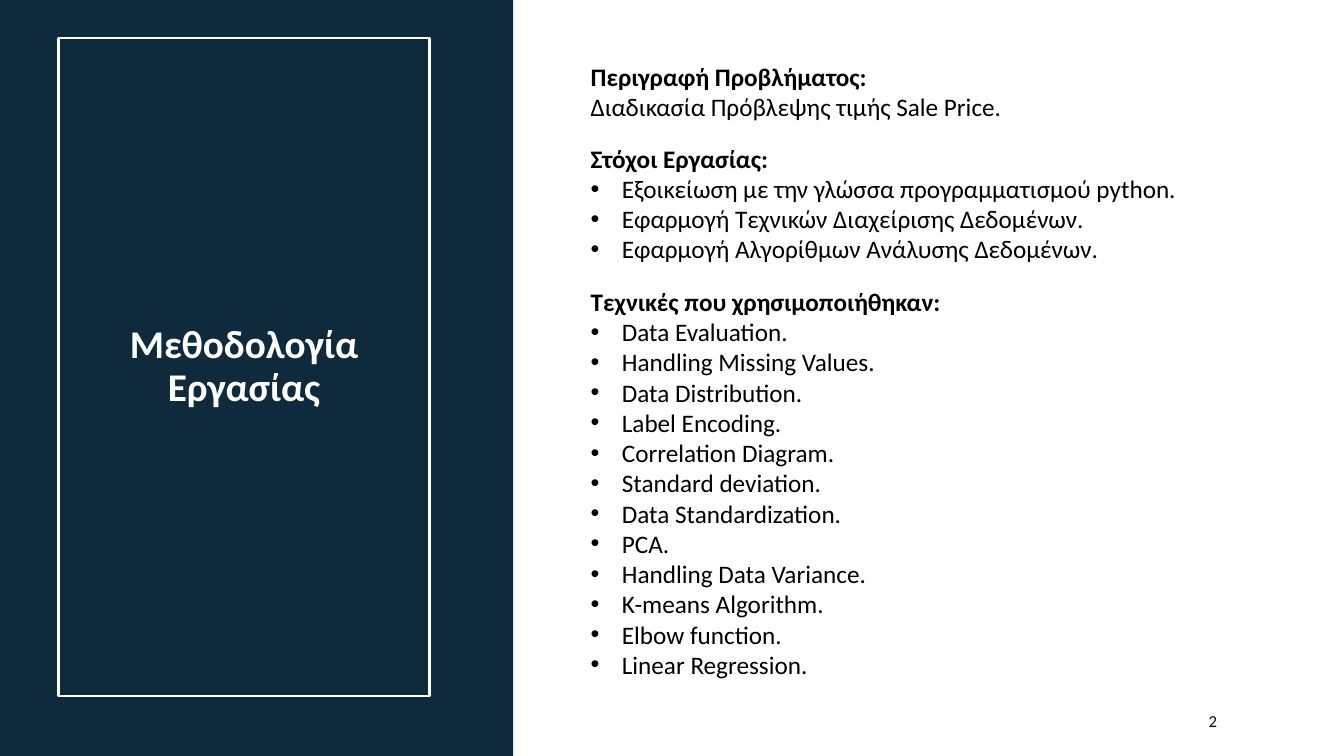
from lxml import etree
from pptx import Presentation
from pptx.dml.color import RGBColor
from pptx.enum import shapes, text
from pptx.oxml.ns import qn
from pptx.util import Inches, Pt

TITLE = ["Μεθοδολογία", "Εργασίας"]
PAGE_NUMBER = "2"
# (top, height, heading, bulleted, lines)
SECTIONS = [
    (0.56, 1.01, "Περιγραφή Προβλήματος:", False,
     ["Διαδικασία Πρόβλεψης τιμής Sale Price."]),
    (1.37, 1.31, "Στόχοι Εργασίας:", True,
     ["Εξοικείωση με την γλώσσα προγραμματισμού python.",
      "Εφαρμογή Τεχνικών Διαχείρισης Δεδομένων.",
      "Εφαρμογή Αλγορίθμων Ανάλυσης Δεδομένων."]),
    (2.79, 4.04, "Τεχνικές που χρησιμοποιήθηκαν:", True,
     ["Data Evaluation.", "Handling Missing Values.", "Data Distribution.",
      "Label Encoding.", "Correlation Diagram.", "Standard deviation.",
      "Data Standardization.", "PCA.", "Handling Data Variance.",
      "K-means Algorithm.", "Elbow function.", "Linear Regression."]),
]
COLORS = {"navy": "0F2A3D", "white": "FFFFFF", "black": "000000", "number": "0D0D0D"}
FONT = "Calibri"
TEXT_LEFT, TEXT_WIDTH, INDENT = 5.76, 6.67, 0.31


def color(name):
    return RGBColor.from_string(COLORS[name])


def add_run(p, words, size, color_name, bold=False):
    r = p.add_run()
    r.text = words
    r.font.name, r.font.size, r.font.bold = FONT, Pt(size), bold
    r.font.color.rgb = color(color_name)


def add_rect(s, left, top, width, height):
    sp = s.shapes.add_shape(shapes.MSO_SHAPE.RECTANGLE, Inches(left), Inches(top),
                            Inches(width), Inches(height))
    sp.shadow.inherit = False
    return sp


def add_text(s, left, top, width, height):
    tf = s.shapes.add_textbox(Inches(left), Inches(top),
                              Inches(width), Inches(height)).text_frame
    tf.word_wrap = True
    return tf


def add_bullet(p):
    pPr = p._p.get_or_add_pPr()
    pPr.set("marL", str(Inches(INDENT)))
    pPr.set("indent", str(-Inches(INDENT)))
    etree.SubElement(pPr, qn("a:buFont")).set("typeface", "Arial")
    etree.SubElement(pPr, qn("a:buChar")).set("char", "•")


def add_section(s, top, height, heading, bulleted, lines):
    tf = add_text(s, TEXT_LEFT, top, TEXT_WIDTH, height)
    add_run(tf.paragraphs[0], heading, 18, "black", bold=True)
    for line in lines:
        p = tf.add_paragraph()
        if bulleted:
            add_bullet(p)
        add_run(p, line, 18, "black")


def add_title(s):
    frame = add_rect(s, 0.58, 0.38, 3.68, 6.53)
    frame.fill.background()
    frame.line.color.rgb = color("white")
    frame.line.width = Pt(1.5)
    tf = frame.text_frame
    tf.word_wrap = True
    tf.vertical_anchor = text.MSO_ANCHOR.MIDDLE
    p = tf.paragraphs[0]
    p.alignment = text.PP_ALIGN.CENTER
    p.line_spacing = 0.9
    for i, line in enumerate(TITLE):
        if i:
            p.add_line_break()
        add_run(p, line, 28, "white", bold=True)


def main():
    prs = Presentation()
    prs.slide_width, prs.slide_height = Inches(13.33), Inches(7.5)
    s = prs.slides.add_slide(prs.slide_layouts[6])

    panel = add_rect(s, 0, 0, 5.09, 7.5)
    panel.fill.solid()
    panel.fill.fore_color.rgb = color("navy")
    panel.line.fill.background()
    add_title(s)

    for section in SECTIONS:
        add_section(s, *section)

    tf = add_text(s, 9.42, 6.95, 2.75, 0.4)
    tf.vertical_anchor = text.MSO_ANCHOR.MIDDLE
    tf.paragraphs[0].alignment = text.PP_ALIGN.RIGHT
    add_run(tf.paragraphs[0], PAGE_NUMBER, 12, "number")

    prs.save("out.pptx")


if __name__ == "__main__":
    main()
